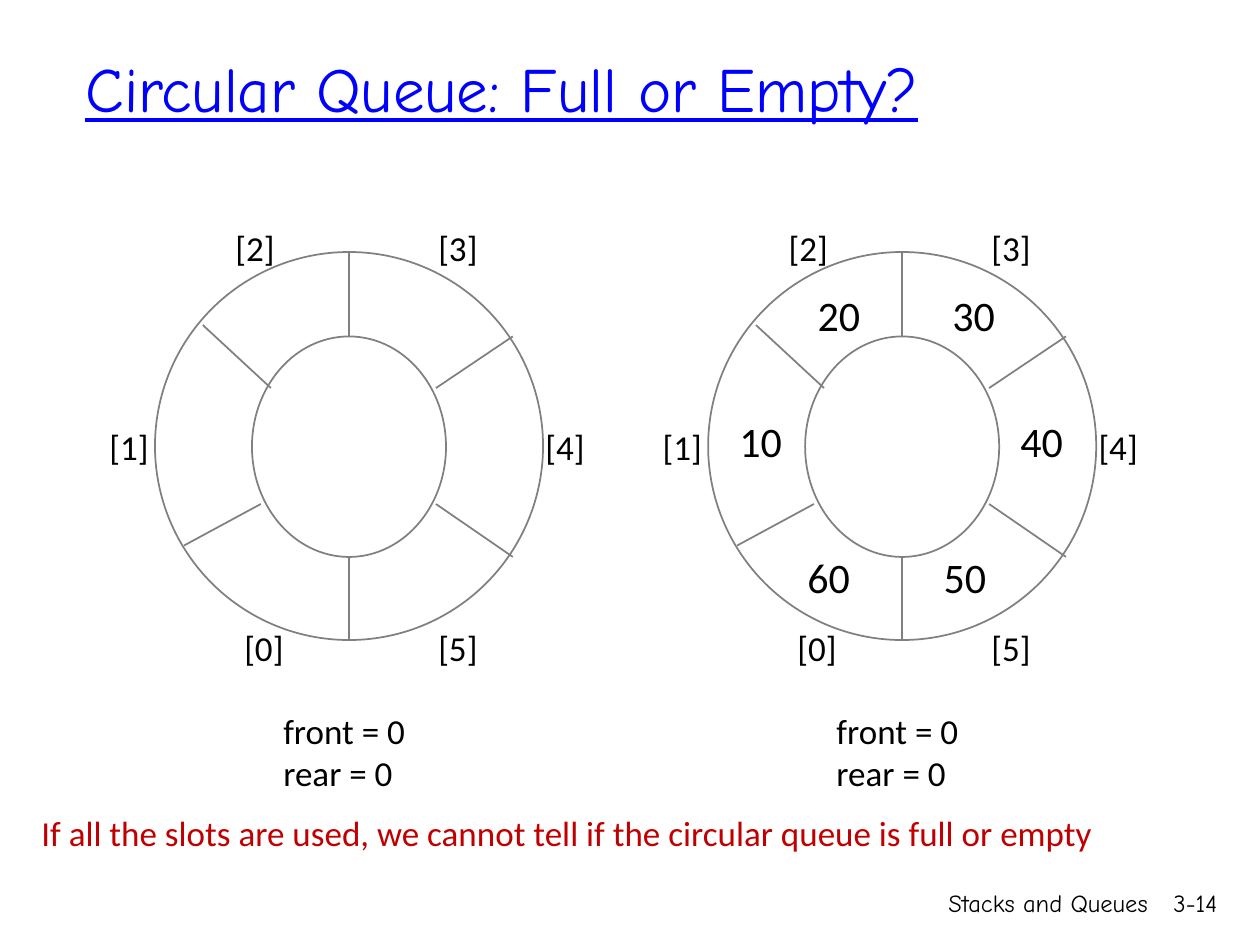
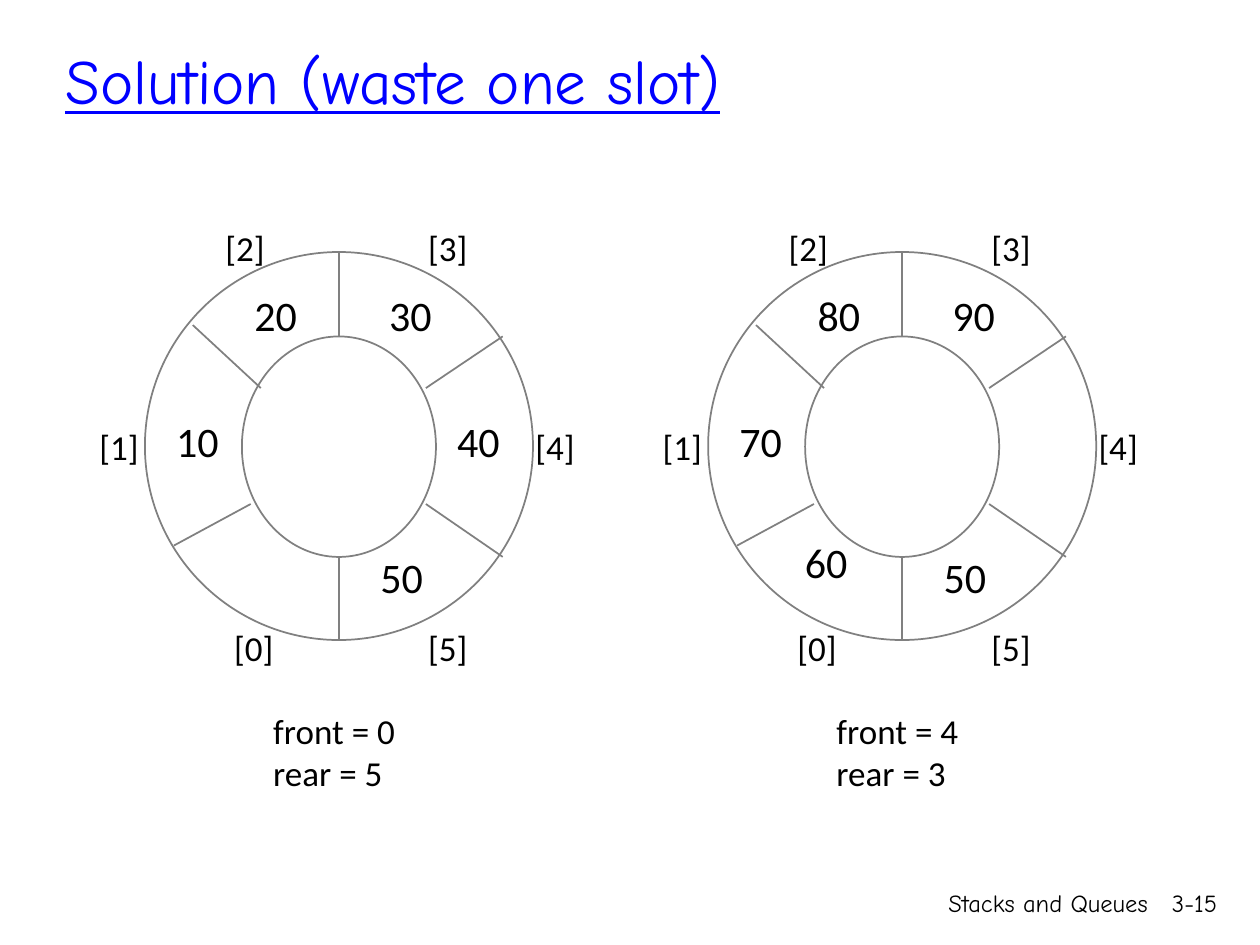
from pptx import Presentation
from pptx.dml.color import RGBColor
from pptx.enum.shapes import MSO_CONNECTOR as CONNECTOR, MSO_SHAPE as SHAPE
from pptx.enum.text import MSO_ANCHOR as ANCHOR, MSO_AUTO_SIZE as AUTO_SIZE, PP_ALIGN as ALIGN
from pptx.oxml.ns import qn
from pptx.util import Inches, Pt
from lxml.etree import SubElement

# Shared look
BLACK, BLUE, RED, GRAY = "000000", "0000FF", "C00000", "808080"
BODY, HAND = "Calibri", "Comic Neue"

# Ring geometry: x counts from the ring's left edge, y from the slide's top
RING_TOP, RING_SIZE = 2, 3.08
HOLE = (0.77, 2.67, 1.54, 1.75)
DIVIDERS = [
    (1.54, 2, 1.54, 2.67), (1.54, 4.42, 1.54, 5.08),
    (0.38, 2.58, 0.92, 3.08), (2.23, 4, 2.84, 4.42),
    (0.23, 4.33, 0.84, 4), (2.23, 3.08, 2.84, 2.67),
]
INDEX_SPOTS = [(0.61, 4.92), (-0.46, 3.33), (0.54, 1.75),
               (2.15, 1.75), (3, 3.33), (2.15, 4.92)]
VALUE_SPOTS = [(0.69, 4.33), (0.15, 3.25), (0.77, 2.25),
               (1.84, 2.25), (2.38, 3.25), (1.77, 4.33)]
RAISED_SPOT = (0.67, 4.21)


def rgb(color):
    return RGBColor.from_string(color)


def add_text(shapes, box, lines, size=20, font=BODY, color=BLACK, align=ALIGN.LEFT,
             anchor=ANCHOR.TOP, underline=False, wrap=False):
    tf = shapes.add_textbox(*map(Inches, box)).text_frame
    tf.word_wrap = wrap
    tf.auto_size = AUTO_SIZE.NONE if wrap else AUTO_SIZE.SHAPE_TO_FIT_TEXT
    tf.vertical_anchor = anchor
    tf.text = lines
    for p in tf.paragraphs:
        p.alignment = align
        p.font.size = Pt(size)
        p.font.name = font
        p.font.color.rgb = rgb(color)
        p.font.underline = underline


def set_outline(shape):
    shape.line.color.rgb = rgb(GRAY)
    shape.line.width = Pt(1)


def add_circle(shapes, x, y, w, h):
    sp = shapes.add_shape(SHAPE.OVAL, Inches(x), Inches(y), Inches(w), Inches(h))
    sp.shadow.inherit = False
    sp.fill.background()
    set_outline(sp)


def add_divider(shapes, x1, y1, x2, y2):
    line = shapes.add_connector(CONNECTOR.STRAIGHT, Inches(x1), Inches(y1),
                                Inches(x2), Inches(y2))
    set_outline(line)
    SubElement(line._element.spPr, qn("a:effectLst"))


def add_queue(s, left, front, rear, values, value_spots=VALUE_SPOTS):
    """Draw one circular queue; values maps slot number to content."""
    shapes = s.shapes.add_group_shape().shapes
    # Ring
    add_circle(shapes, left, RING_TOP, RING_SIZE, RING_SIZE)
    x, y, w, h = HOLE
    add_circle(shapes, left + x, y, w, h)
    for x1, y1, x2, y2 in DIVIDERS:
        add_divider(shapes, left + x1, y1, left + x2, y2)
    # Slot numbers and pointers
    for slot, (x, y) in enumerate(INDEX_SPOTS):
        add_text(shapes, (left + x, y, 0.51, 0.44), f"[{slot}]")
    add_text(shapes, (left + 0.92, 5.58, 1.25, 0.77), f"front = {front}\nrear = {rear}")
    # Slot contents
    for slot, value in values.items():
        x, y = value_spots[slot]
        add_text(shapes, (left + x, y, 0.58, 0.51), str(value), size=24)


def add_slide(prs, title, title_box, number):
    s = prs.slides.add_slide(prs.slide_layouts[6])
    for box, text in [((6.04, 7, 3.17, 0.5), "Stacks and Queues"),
                      ((9.08, 7, 0.68, 0.5), f"3-{number}")]:
        add_text(s.shapes, box, text, size=14, font=HAND, align=ALIGN.RIGHT, wrap=True)
    add_text(s.shapes, title_box, title, size=36, font=HAND, color=BLUE,
             anchor=ANCHOR.MIDDLE, underline=True, wrap=True)
    return s


def main():
    prs = Presentation()
    prs.slide_width, prs.slide_height = Inches(10), Inches(7.5)

    # Full or empty
    s = add_slide(prs, "Circular Queue: Full or Empty?", (0.58, 0.25, 8.5, 0.88), 14)
    add_queue(s, 1.23, 0, 0, {})
    add_queue(s, 5.62, 0, 0, {1: 10, 2: 20, 3: 30, 4: 40, 5: 50, 0: 60})
    add_text(s.shapes, (0.23, 6.39, 9.28, 0.44),
             "If all the slots are used, we cannot tell if the circular queue is full or empty",
             color=RED)

    # One slot left unused
    s = add_slide(prs, "Solution (waste one slot)", (0.42, 0.36, 9.23, 0.54), 15)
    add_queue(s, 1.15, 0, 5, {1: 10, 2: 20, 3: 30, 4: 40, 5: 50})
    add_queue(s, 5.62, 4, 3, {1: 70, 2: 80, 3: 90, 5: 50, 0: 60},
              [RAISED_SPOT] + VALUE_SPOTS[1:])

    prs.save("out.pptx")


if __name__ == "__main__":
    main()
